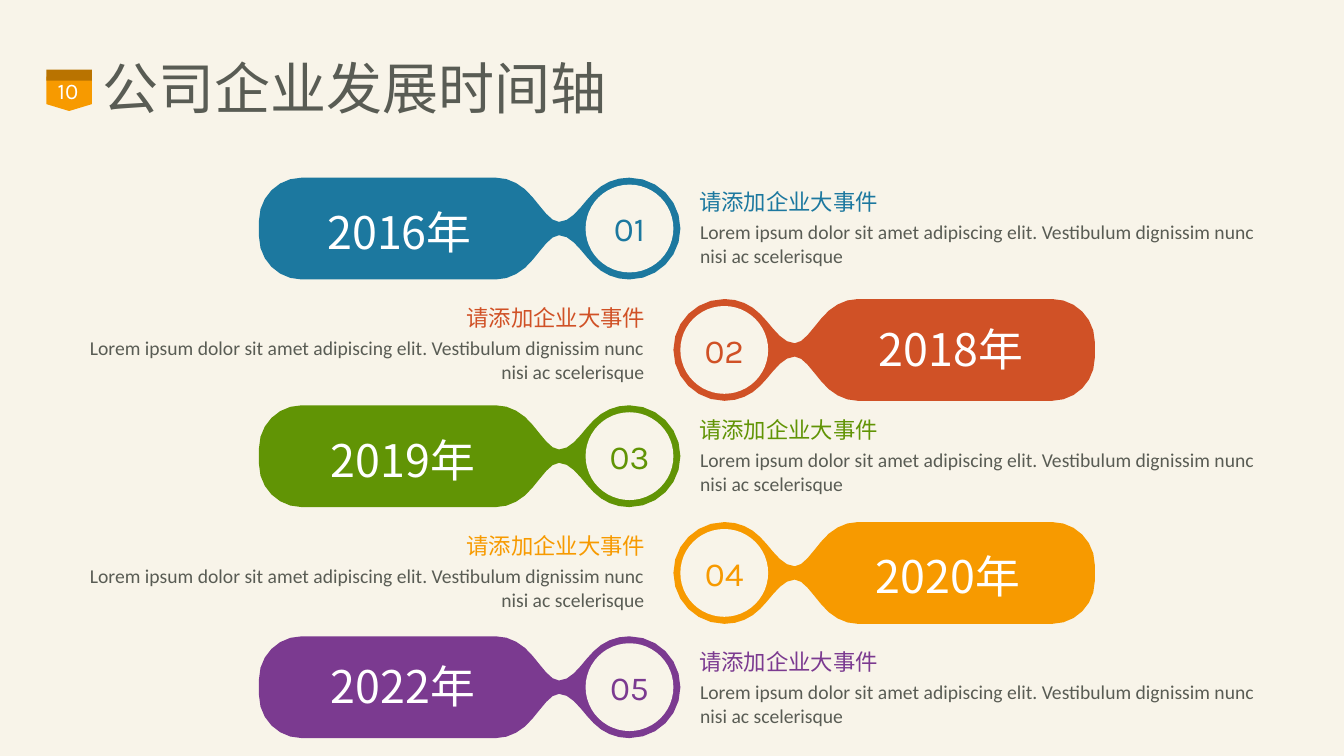
from dataclasses import dataclass

from pptx import Presentation
from pptx.dml.color import RGBColor
from pptx.enum.shapes import MSO_SHAPE
from pptx.enum.text import MSO_ANCHOR, MSO_AUTO_SIZE, PP_ALIGN
from pptx.util import Pt

LEFT, CENTER, RIGHT = PP_ALIGN.LEFT, PP_ALIGN.CENTER, PP_ALIGN.RIGHT
TOP, MIDDLE = MSO_ANCHOR.TOP, MSO_ANCHOR.MIDDLE
NO_AUTOFIT = MSO_AUTO_SIZE.NONE
RECT, OVAL = MSO_SHAPE.RECTANGLE, MSO_SHAPE.OVAL
TAG = MSO_SHAPE.FLOWCHART_OFFPAGE_CONNECTOR

COLORS = {
    "paper": "F8F4E9",
    "text": "595C54",
    "white": "FFFFFF",
    "blue": "1C789F",
    "red": "D05126",
    "green": "619405",
    "orange": "F79A00",
    "purple": "7B3A90",
    "brown": "B97300",
}
KARLA, CALIBRI, NOTO = "Karla", "Calibri", "Noto Sans CJK SC"
HEADING = "请添加企业大事件"
BODY = ("Lorem ipsum dolor sit amet adipiscing elit. "
        "Vestibulum dignissim nunc nisi ac scelerisque")

BADGE_W, BADGE_H = 301, 72.72
LEFT_BADGE_X, RIGHT_BADGE_X = 185, 481
RING, HOLE = 5, 62.7

Point = tuple[float, float]


@dataclass
class Curve:
    b: Point
    c: Point
    d: Point
    steps: int


@dataclass
class Event:
    number: str
    year: str
    color: str
    on_left: bool
    top: float
    text_top: float
    year_x: float
    year_top: float


UPPER_START: Point = (0, 36.36)
UPPER_CURVES = [
    Curve((0, 16.2), (16.3, 0), (36.5, 0), 6),
    Curve((46.8, 0), (55.4, 4), (62, 10.7), 4),
    Curve((69.8, 18.2), (77, 31.6), (86.7, 31.6), 5),
    Curve((94.3, 31.6), (101.5, 16.8), (111, 8.3), 5),
    Curve((117, 3.2), (124, 0), (131.8, 0), 3),
    Curve((178, 0), (224, 0), (270.5, 0), 1),
    Curve((287.3, 0), (301, 13.7), (301, 30.6), 6),
]

EVENTS = [
    Event("01", "2016年", "blue", True, 126.9, 131, 194.4, 142.6),
    Event("02", "2018年", "red", False, 213.6, 213.8, 588.2, 226.1),
    Event("03", "2019年", "green", True, 289.5, 293.8, 196.6, 305.3),
    Event("04", "2020年", "orange", False, 372.9, 376.6, 586.1, 388.1),
    Event("05", "2022年", "purple", True, 454.5, 459.4, 196.6, 467.3),
]


def rgb(name: str) -> RGBColor:
    return RGBColor.from_string(COLORS[name])


def write(sp, text: str, *, size: float, color: str, font: str = KARLA,
          align=LEFT, anchor=TOP, wrap: bool = True,
          spacing: float | None = None) -> None:
    tf = sp.text_frame
    tf.auto_size = NO_AUTOFIT
    tf.word_wrap = wrap
    tf.vertical_anchor = anchor
    p = tf.paragraphs[0]
    p.alignment = align
    if spacing is not None:
        p.line_spacing = spacing
    r = p.add_run()
    r.text = text
    r.font.size = Pt(size)
    r.font.name = font
    r.font.color.rgb = rgb(color)


def add_text(s, x: float, y: float, w: float, h: float, text: str, **fmt) -> None:
    write(s.shapes.add_textbox(Pt(x), Pt(y), Pt(w), Pt(h)), text, **fmt)


def paint(sp, color: str) -> None:
    sp.shadow.inherit = False
    sp.fill.solid()
    sp.fill.fore_color.rgb = rgb(color)
    sp.line.fill.background()


def add_solid(s, kind, x: float, y: float, w: float, h: float, color: str):
    sp = s.shapes.add_shape(kind, Pt(x), Pt(y), Pt(w), Pt(h))
    paint(sp, color)
    return sp


def bezier(a: Point, curve: Curve, t: float) -> Point:
    u = 1 - t
    weights = (u ** 3, 3 * u * u * t, 3 * u * t * t, t ** 3)
    corners = (a, curve.b, curve.c, curve.d)
    x, y = (sum(k * q[i] for k, q in zip(weights, corners)) for i in (0, 1))
    return x, y


def badge_outline() -> list[Point]:
    upper = [UPPER_START]
    for curve in UPPER_CURVES:
        a = upper[-1]
        upper += [bezier(a, curve, i / curve.steps)
                  for i in range(1, curve.steps + 1)]
    lower = [(x, BADGE_H - y) for x, y in reversed(upper[1:])]
    return upper + lower


def add_badge(s, event: Event) -> None:
    left = LEFT_BADGE_X if event.on_left else RIGHT_BADGE_X
    points = [(Pt(left + (BADGE_W - x if event.on_left else x)), Pt(event.top + y))
              for x, y in badge_outline()]
    builder = s.shapes.build_freeform(*points[0])
    builder.add_line_segments(points[1:], close=True)
    paint(builder.convert_to_shape(), event.color)

    hole_x = left + (BADGE_W - RING - HOLE if event.on_left else RING)
    hole = add_solid(s, OVAL, hole_x, event.top + RING, HOLE, HOLE, "paper")
    write(hole, event.number, size=24, color=event.color, align=CENTER, anchor=MIDDLE)
    add_text(s, event.year_x, event.year_top, 182, 46, event.year,
             size=32, color="white", font=NOTO, align=CENTER)


def add_description(s, event: Event) -> None:
    heading_x, body_x, align = (
        (492.5, 493, LEFT) if event.on_left else (324, 37.5, RIGHT))
    add_text(s, heading_x, event.text_top, 144, 26.6, HEADING,
             size=16, color=event.color, align=align, wrap=False)
    add_text(s, body_x, event.text_top + 22.9, 430, 41, BODY,
             size=14, color="text", font=CALIBRI, align=align)


def add_header(s) -> None:
    add_solid(s, TAG, 33.1, 54.7, 32.6, 24.6, "orange")
    add_solid(s, RECT, 33.1, 49.7, 32.6, 8, "brown")
    add_text(s, 16.6, 50.4, 64, 28.8, "10",
             size=16, color="white", align=CENTER, anchor=MIDDLE)
    title = s.shapes.title
    title.left, title.top, title.width, title.height = map(Pt, (66.2, 32.4, 828, 65.5))
    write(title, "公司企业发展时间轴", size=40, color="text",
          anchor=MIDDLE, spacing=0.9)


def main() -> None:
    prs = Presentation()
    prs.slide_width, prs.slide_height = Pt(960), Pt(540)
    s = prs.slides.add_slide(prs.slide_layouts[5])
    s.background.fill.solid()
    s.background.fill.fore_color.rgb = rgb("paper")
    add_header(s)
    for event in EVENTS:
        add_description(s, event)
        add_badge(s, event)
    prs.save("out.pptx")


if __name__ == "__main__":
    main()
